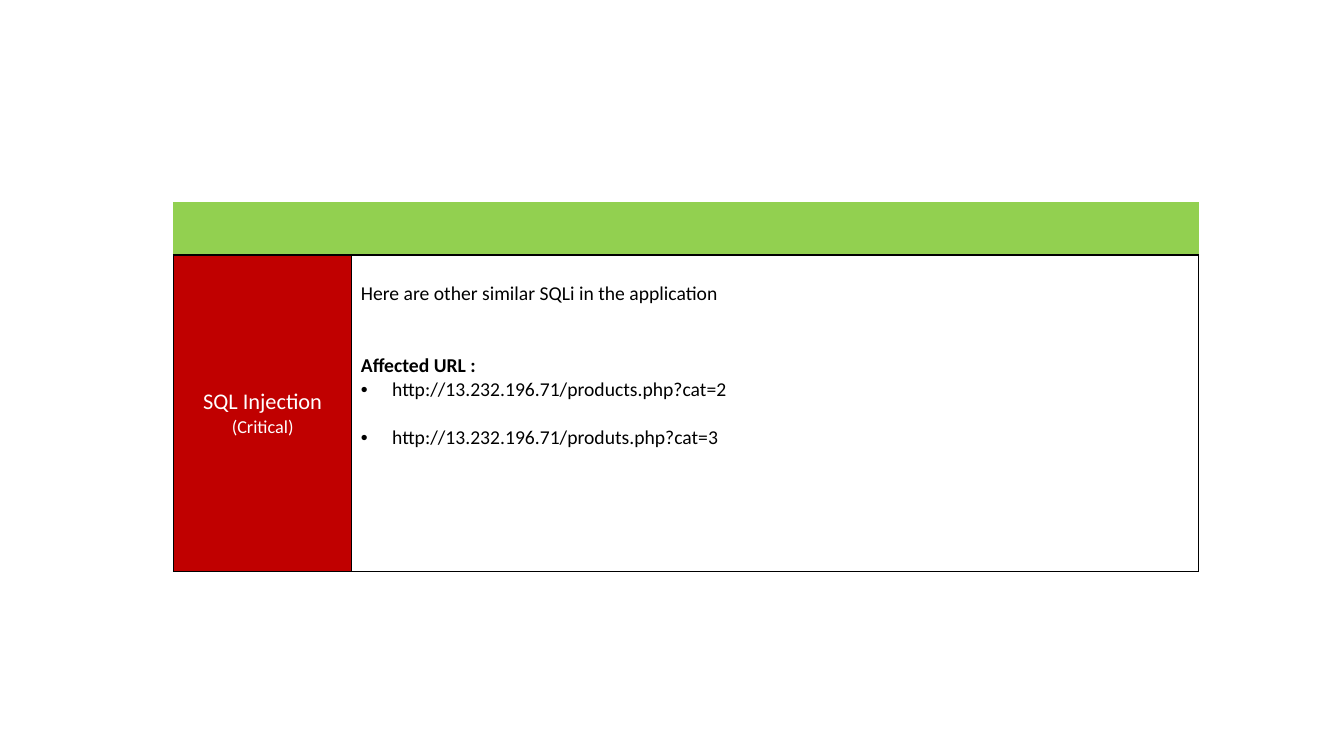
from pptx import Presentation
from pptx.dml.color import RGBColor
from pptx.enum.text import MSO_ANCHOR as Anchor, PP_ALIGN as Align
from pptx.oxml import parse_xml
from pptx.oxml.ns import nsdecls, qn
from pptx.util import Inches, Pt

FONT = "Calibri"
GREEN, RED, WHITE, BLACK = "92D050", "C00000", "FFFFFF", "000000"
NO_STYLE = "{2D5ABB26-0587-4C30-8999-92F81FD0307C}"
BODY_SIZE = 14
LINE = 17.1
URLS = (
    "http://13.232.196.71/products.php?cat=2",
    "http://13.232.196.71/produts.php?cat=3",
)


def color(value):
    """Turn a hex string into a colour."""
    return RGBColor.from_string(value)


def fill_cell(cell, value):
    """Fill a cell with one colour."""
    cell.fill.solid()
    cell.fill.fore_color.rgb = color(value)


def border_cell(cell, value, width):
    """Draw the same line on all four sides of a cell."""
    properties = cell._tc.get_or_add_tcPr()
    for index, side in enumerate(("lnL", "lnR", "lnT", "lnB")):
        properties.insert(index, parse_xml(
            f'<a:{side} {nsdecls("a")} w="{Pt(width)}"><a:solidFill>'
            f'<a:srgbClr val="{value}"/></a:solidFill></a:{side}>'))


def add_bullet(paragraph, value):
    """Give a paragraph a hanging bullet."""
    properties = paragraph._p.get_or_add_pPr()
    properties.set("marL", str(Inches(0.31)))
    properties.set("indent", str(-Inches(0.31)))
    for content in (
        f'<a:buClr {nsdecls("a")}><a:srgbClr val="{value}"/></a:buClr>',
        f'<a:buFont {nsdecls("a")} typeface="Arial"/>',
        f'<a:buChar {nsdecls("a")} char="•"/>',
    ):
        properties.append(parse_xml(content))


def write_cell(cell, lines, value, align):
    """Write lines of text, size, bold, bullet and blank lines before."""
    frame = cell.text_frame
    for index, (text, size, bold, bullet, gap) in enumerate(lines):
        paragraph = frame.add_paragraph() if index else frame.paragraphs[0]
        paragraph.alignment = align
        paragraph.space_before = Pt(gap * LINE)
        if bullet:
            add_bullet(paragraph, BLACK)
        run = paragraph.add_run()
        run.text = text
        run.font.name = FONT
        run.font.size = Pt(size)
        run.font.bold = bold
        run.font.color.rgb = color(value)


def add_finding(slide, left, top, width, height):
    """Place the finding table with its severity and affected addresses."""
    frame = slide.shapes.add_table(2, 2, left, top, width, height)
    next(frame.element.iter(qn("a:tableStyleId"))).text = NO_STYLE
    table = frame.table
    table.first_row = table.horz_banding = False
    table.columns[0].width = Inches(1.77)
    table.columns[1].width = width - Inches(1.77)
    table.rows[0].height = Inches(0.53)
    table.rows[1].height = height - Inches(0.53)

    for column, value in enumerate((RED, WHITE)):
        fill_cell(table.cell(0, column), GREEN)
        fill_cell(table.cell(1, column), value)
        border_cell(table.cell(1, column), BLACK, 1)

    severity, details = table.cell(1, 0), table.cell(1, 1)
    severity.vertical_anchor = Anchor.MIDDLE
    write_cell(severity, [
        ("SQL Injection", 16, False, False, 0),
        ("(Critical)", 13, False, False, 0),
    ], WHITE, Align.CENTER)

    details.margin_left = details.margin_right = Inches(0.09)
    details.margin_top = Inches(0.27)
    write_cell(details, [
        ("Here are other similar SQLi in the application",
         BODY_SIZE, False, False, 0),
        ("Affected URL :", BODY_SIZE, True, False, 2),
        *((url, BODY_SIZE, False, True, index)
          for index, url in enumerate(URLS)),
    ], BLACK, Align.LEFT)


def main():
    """Build and save the slide."""
    presentation = Presentation()
    presentation.slide_width = Inches(13.33)
    presentation.slide_height = Inches(7.5)
    slide = presentation.slides.add_slide(presentation.slide_layouts[6])
    add_finding(slide, Inches(1.72), Inches(2), Inches(10.17), Inches(3.67))
    presentation.save("out.pptx")


if __name__ == "__main__":
    main()
